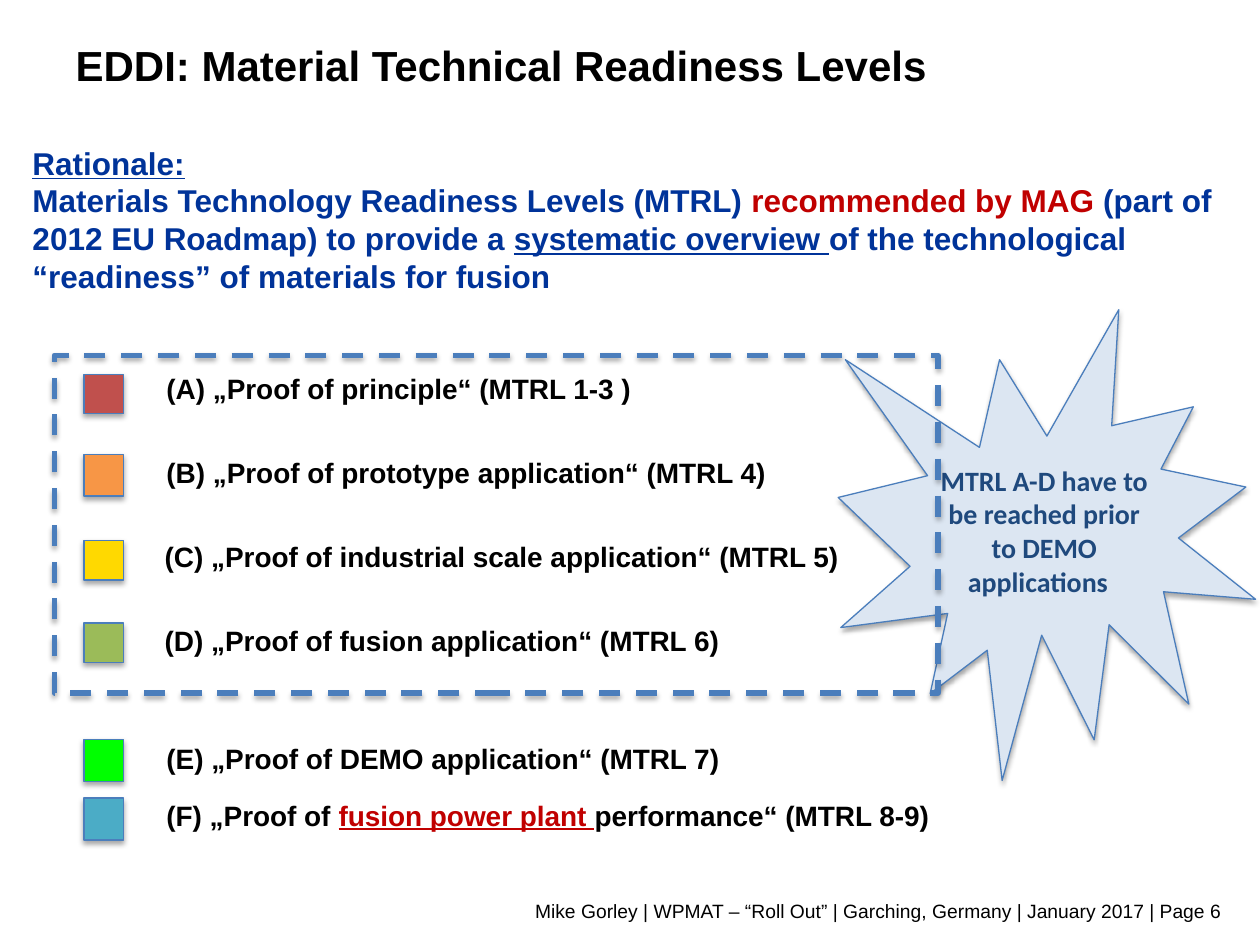
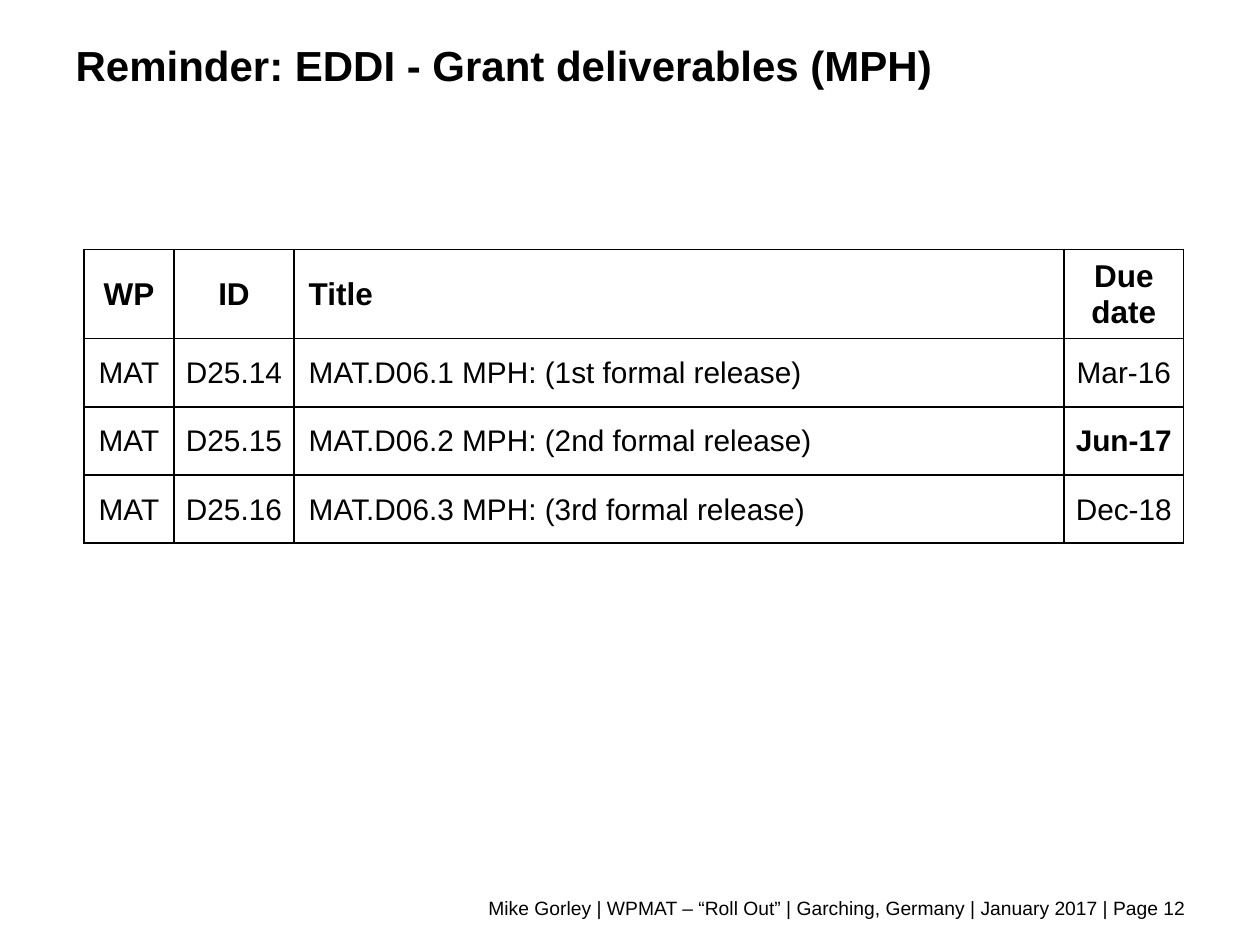
from lxml import etree
from pptx import Presentation
from pptx.dml.color import RGBColor
from pptx.enum.dml import MSO_LINE
from pptx.enum.shapes import MSO_SHAPE as SHAPE
from pptx.enum.text import MSO_ANCHOR as ANCHOR, PP_ALIGN as ALIGN
from pptx.oxml import parse_xml
from pptx.oxml.ns import nsdecls, qn
from pptx.util import Pt

BLACK = RGBColor(0x00, 0x00, 0x00)
WHITE = RGBColor(0xFF, 0xFF, 0xFF)
NAVY = RGBColor(0x00, 0x33, 0x99)
DARK_BLUE = RGBColor(0x1F, 0x49, 0x7D)
OUTLINE = RGBColor(0x4B, 0x7E, 0xBC)
PALE_BLUE = RGBColor(0xDC, 0xE6, 0xF2)
DARK_RED = RGBColor(0xC0, 0x00, 0x00)
RED = RGBColor(0xC0, 0x50, 0x4D)
ORANGE = RGBColor(0xF7, 0x96, 0x46)
YELLOW = RGBColor(0xFF, 0xD9, 0x00)
OLIVE = RGBColor(0x9B, 0xBB, 0x59)
GREEN = RGBColor(0x00, 0xFF, 0x00)
TEAL = RGBColor(0x4B, 0xAC, 0xC6)

TITLE = dict(size=Pt(24), bold=True)
LEVEL = dict(size=Pt(16), bold=True)
RATIONALE = dict(size=Pt(18), bold=True, color=NAVY)
BURST = dict(size=Pt(16), bold=True, color=DARK_BLUE, name="Calibri")
FOOTER = dict(size=Pt(11))
HEADER = dict(size=Pt(18), bold=True)
BODY = dict(size=Pt(17), bold=False)

FOOTER_TEXT = "Mike Gorley | WPMAT – “Roll Out” | Garching, Germany | January 2017 | Page {}"

# label runs, label left, label top, swatch top, swatch height, colour
LEVELS = [
    (["(A) „Proof of principle“ (MTRL 1-3 )"], 88, 208.5, 214, 22.5, RED),
    (["(B) „Proof of prototype application“ (MTRL 4)"], 88, 256.5, 259.5, 24, ORANGE),
    (["(C) „Proof of industrial scale application“ (MTRL 5)"], 87, 304.5, 309, 22.5, YELLOW),
    (["(D) „Proof of fusion application“ (MTRL 6)"], 87, 353, 356, 22.5, OLIVE),
    (["(E) „Proof of DEMO application“ (MTRL 7)"], 88, 420, 422.5, 24, GREEN),
    (["(F) „Proof of ",
      ("fusion power plant ", dict(color=DARK_RED, underline=True)),
      "performance“ (MTRL 8-9)"], 88, 452.5, 456, 24, TEAL),
]

RATIONALE_TEXT = [
    [("Rationale:", dict(underline=True))],
    ["Materials Technology Readiness Levels (MTRL) ",
     ("recommended by MAG ", dict(color=DARK_RED)),
     "(part of 2012 EU Roadmap) to provide a ",
     ("systematic overview ", dict(underline=True)),
     "of the technological “readiness” of materials for fusion"],
]

COLUMNS = [51.5, 68.5, 440, 68.5]
ROWS = [51, 39, 39, 39]
DELIVERABLES = [
    ("WP", "ID", "Title", "Due date"),
    ("MAT", "D25.14", "MAT.D06.1 MPH: (1st formal release)", "Mar-16"),
    ("MAT", "D25.15", "MAT.D06.2 MPH: (2nd formal release)", "Jun-17"),
    ("MAT", "D25.16", "MAT.D06.3 MPH: (3rd formal release)", "Dec-18"),
]
TITLE_COLUMN = 2
NEXT_DUE = "Jun-17"


def write(tf, paragraphs, style, align=ALIGN.LEFT):
    """Fill a text frame; a run is a string or a (string, changes to style) pair."""
    for i, runs in enumerate(paragraphs):
        p = tf.paragraphs[0] if i == 0 else tf.add_paragraph()
        p.alignment = align
        for run in runs:
            text, changes = (run, {}) if isinstance(run, str) else run
            values = {"name": "Arial", "color": BLACK, **style, **changes}
            r = p.add_run()
            r.text = text
            r.font.color.rgb = values.pop("color")
            for key, value in values.items():
                setattr(r.font, key, value)


def add_text(slide, box, paragraphs, style, align=ALIGN.LEFT, anchor=ANCHOR.TOP):
    tf = slide.shapes.add_textbox(*map(Pt, box)).text_frame
    tf.word_wrap = True
    tf.vertical_anchor = anchor
    write(tf, paragraphs, style, align)


def add_title(slide, text):
    title = slide.shapes.title
    for key, value in dict(left=36, top=2, width=585, height=70).items():
        setattr(title, key, Pt(value))
    title.text_frame.vertical_anchor = ANCHOR.MIDDLE
    write(title.text_frame, [[text]], TITLE)


def add_footer(slide, left, top, page):
    add_text(slide, (left, top, 648.5, 21), [[FOOTER_TEXT.format(page)]],
             FOOTER, ALIGN.RIGHT, ANCHOR.MIDDLE)


def add_shadowed(slide, kind, box, fill=None, line_width=0.75):
    """Outlined shape with a soft shadow below it; no fill colour means hollow."""
    sp = slide.shapes.add_shape(kind, *map(Pt, box))
    if fill is None:
        sp.fill.background()
    else:
        sp.fill.solid()
        sp.fill.fore_color.rgb = fill
    sp.line.color.rgb = OUTLINE
    sp.line.width = Pt(line_width)
    sp.shadow.inherit = False
    effects = sp._element.spPr.find(qn("a:effectLst"))
    effects.append(parse_xml(
        f'<a:outerShdw {nsdecls("a")} blurRad="{Pt(3.1)}" dist="{Pt(1.8)}" '
        'dir="5400000" rotWithShape="0"><a:srgbClr val="000000">'
        '<a:alpha val="35000"/></a:srgbClr></a:outerShdw>'))
    return sp


def add_level(slide, runs, left, top, swatch_top, swatch_height, colour):
    add_text(slide, (left, top, 566.5, 26.5), [runs], LEVEL)
    add_shadowed(slide, SHAPE.RECTANGLE, (48, swatch_top, 22.5, swatch_height), colour)


def add_borders(cell):
    props = cell._tc.get_or_add_tcPr()
    for i, side in enumerate(("lnL", "lnR", "lnT", "lnB")):
        ln = etree.Element(qn(f"a:{side}"), w=str(Pt(1)))
        fill = etree.SubElement(ln, qn("a:solidFill"))
        etree.SubElement(fill, qn("a:srgbClr"), val=str(BLACK))
        props.insert(i, ln)


def format_cell(cell, text, is_header, is_title):
    margins = dict(left=8.5 if is_title else 0.7, right=0.7, top=0.7, bottom=0)
    for side, value in margins.items():
        setattr(cell, f"margin_{side}", Pt(value))
    cell.vertical_anchor = ANCHOR.MIDDLE
    cell.fill.solid()
    cell.fill.fore_color.rgb = WHITE
    add_borders(cell)
    style = HEADER if is_header else {**BODY, "bold": text == NEXT_DUE}
    write(cell.text_frame, [[text]], style, ALIGN.LEFT if is_title else ALIGN.CENTER)
    if is_header:
        p = cell.text_frame.paragraphs[0]
        p.space_before = p.space_after = Pt(6)


def add_deliverables(slide, left, top):
    frame = slide.shapes.add_table(len(ROWS), len(COLUMNS), Pt(left), Pt(top),
                                   Pt(sum(COLUMNS)), Pt(sum(ROWS)))
    table = frame.table
    table.first_row = table.horz_banding = False
    for column, width in zip(table.columns, COLUMNS):
        column.width = Pt(width)
    for i, (row, height) in enumerate(zip(table.rows, ROWS)):
        row.height = Pt(height)
        for j, text in enumerate(DELIVERABLES[i]):
            format_cell(table.cell(i, j), text, i == 0, j == TITLE_COLUMN)


def build_readiness_levels(slide):
    add_title(slide, "EDDI: Material Technical Readiness Levels")
    for level in LEVELS:
        add_level(slide, *level)
    burst = add_shadowed(slide, SHAPE.EXPLOSION1, (479, 177, 238.5, 269), PALE_BLUE)
    burst.text_frame.word_wrap = True
    burst.text_frame.vertical_anchor = ANCHOR.MIDDLE
    write(burst.text_frame, [["MTRL A-D have to be reached prior to DEMO applications  "]],
          BURST, ALIGN.CENTER)
    frame = add_shadowed(slide, SHAPE.RECTANGLE, (31, 203, 505, 193), line_width=3)
    frame.line.dash_style = MSO_LINE.DASH
    add_footer(slide, 57, 510, 6)
    add_text(slide, (11.5, 78.5, 695, 94.5), RATIONALE_TEXT, RATIONALE)


def build_deliverables(slide):
    add_title(slide, "Reminder: EDDI - Grant deliverables (MPH)")
    add_deliverables(slide, 48, 142.5)
    add_footer(slide, 36.5, 508.5, 12)


def main():
    prs = Presentation()
    prs.slide_width, prs.slide_height = Pt(720), Pt(540)
    title_only = prs.slide_layouts[5]
    for build in (build_readiness_levels, build_deliverables):
        build(prs.slides.add_slide(title_only))
    prs.save("out.pptx")


if __name__ == "__main__":
    main()
